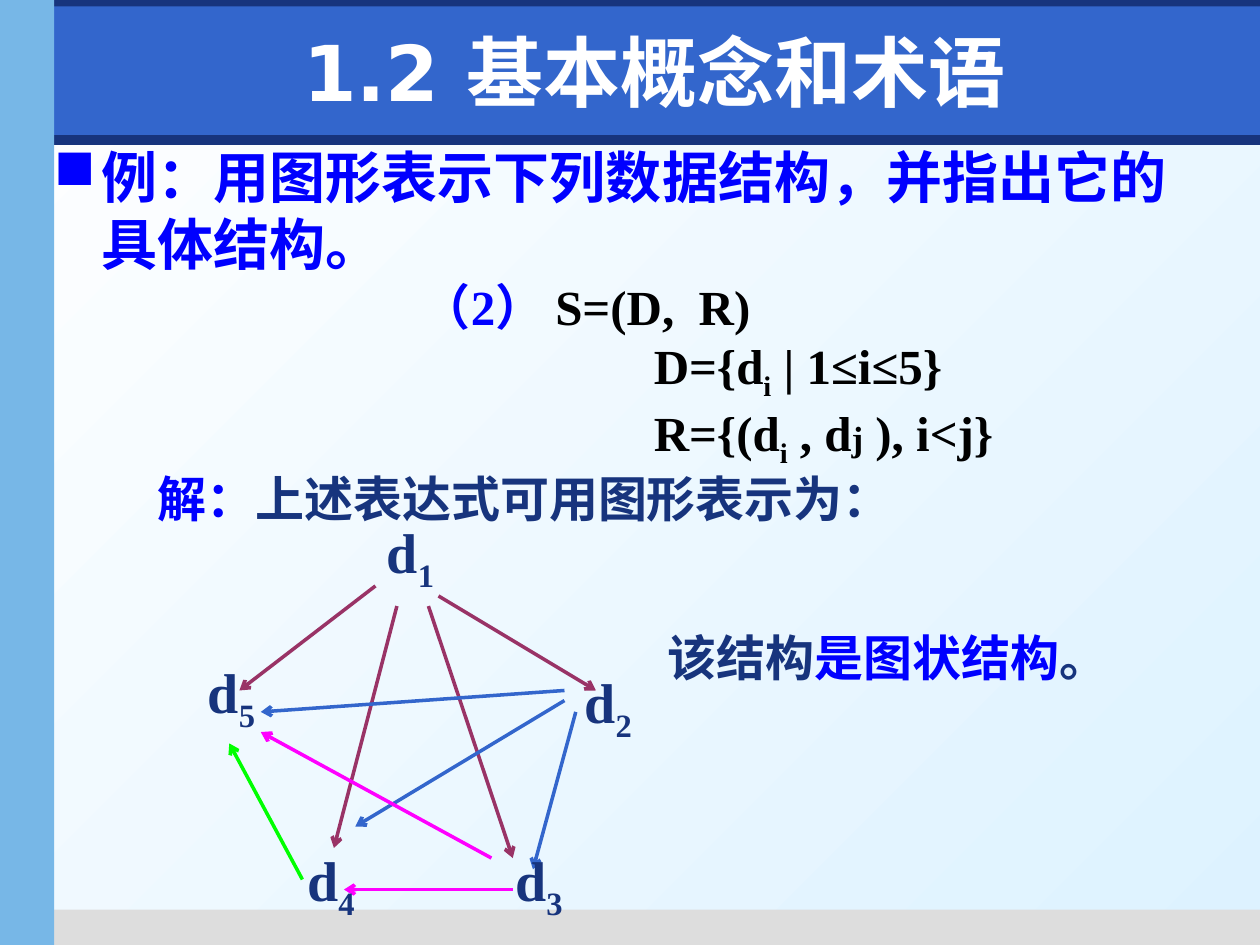
from lxml.etree import SubElement
from pptx import Presentation
from pptx.dml.color import RGBColor
from pptx.enum.shapes import MSO_CONNECTOR, MSO_SHAPE
from pptx.enum.text import MSO_ANCHOR, PP_ALIGN
from pptx.oxml.ns import qn
from pptx.util import Inches, Pt

HUE = {"navy": "17347D", "grey": "DDDDDD", "blue": "3366CC", "sky": "77B7E7",
       "pure": "0000FF", "white": "FFFFFF", "pale": "DDF2FF", "black": "000000",
       "plum": "993366", "pink": "FF00FF", "green": "00FF00"}
WIDE, HIGH = 10, 7.5
SANS, SERIF = "Arial", "Times New Roman"

BARS = [  # colour, left, top, width, height
    ("navy", 0.04, 1.07, WIDE - 0.04, 0.08),
    ("grey", 0.35, 7.22, WIDE - 0.35, HIGH - 7.22),
    ("navy", 0, -0.03, WIDE, 0.24),
    ("blue", 0.43, 0.05, WIDE - 0.43, 1.02),
    ("sky", 0, 0, 0.43, HIGH),
]

# A run is text, colour, then optional format values.
SUB = {"sub": True}
TITLE = [[("1.2 基本概念和术语", "white")]]
TASK = [[("例：用图形表示下列数据结构，并指出它的具体结构。", "pure")]]
SETS = [
    [("（2） ", "pure"), ("S=(D,  R)", "black")],
    [("D={d", "black"), ("i", "black", SUB), (" | 1≤i≤5}", "black")],
    [("R={(d", "black"), ("i", "black", SUB), (" , d", "black"),
     ("j", "black", {"size": Pt(20)}), (" ), i<j}", "black")],
]
KIND = [[("该结构", "navy"), ("是图状结构", "pure"), ("。", "navy")]]
SOLVE = [[("解：", "pure"), ("上述表达式可用图形表示为：", "navy")]]

NODES = {1: (2.97, 4.02), 2: (4.54, 5.21), 3: (3.99, 6.62),
         4: (2.34, 6.62), 5: (1.55, 5.13)}
EDGES = {  # colour: start and end of each arrow
    "plum": [(2.98, 4.65, 1.9, 5.48), (3.48, 4.73, 4.73, 5.48),
             (3.15, 4.81, 2.65, 6.73), (3.4, 4.81, 4.07, 6.81)],
    "blue": [(4.57, 5.65, 4.23, 6.9), (4.48, 5.56, 2.82, 6.56),
             (4.48, 5.48, 2.07, 5.65)],
    "pink": [(4.07, 7.06, 2.73, 7.06), (3.9, 6.81, 2.07, 5.81)],
    "green": [(2.4, 6.98, 1.82, 5.9)],
}


def tint(name):
    return RGBColor.from_string(HUE[name])


def apply(item, form):
    for key, val in form.items():
        setattr(item, key, val)


def write(at, rows, face, size, align=PP_ALIGN.LEFT, **form):
    """Add a text box; form holds text frame values."""
    frame = deck.shapes.add_textbox(*map(Inches, at)).text_frame
    apply(frame, {"word_wrap": True, **form})
    for num, row in enumerate(rows):
        para = frame.add_paragraph() if num else frame.paragraphs[0]
        para.alignment = align
        for text, hue, *more in row:
            run = para.add_run()
            run.text = text
            look = {"name": face, "size": Pt(size), "bold": True}
            for part in more:
                look.update(part)
            if look.pop("sub", False):
                run.font._element.set("baseline", "-25000")
            apply(run.font, look)
            run.font.color.rgb = tint(hue)
    return frame


def indent(para, left, first=0):
    props = para._p.get_or_add_pPr()
    props.set("marL", str(Inches(left)))
    props.set("indent", str(Inches(first)))
    return props


def arrow(hue, ends):
    line = deck.shapes.add_connector(MSO_CONNECTOR.STRAIGHT, *map(Inches, ends))
    line.line.color.rgb = tint(hue)
    line.line.width = Pt(2)
    SubElement(line.line._get_or_add_ln(), qn("a:tailEnd"), type="arrow")
    SubElement(line._element.spPr, qn("a:effectLst"))


show = Presentation()
apply(show, {"slide_width": Inches(WIDE), "slide_height": Inches(HIGH)})
deck = show.slides.add_slide(show.slide_layouts[6])

back = deck.background.fill
back.gradient()
back.gradient_angle = 315
for stop, hue, place in zip(back.gradient_stops, ("white", "pale"), (0, 1)):
    stop.color.rgb = tint(hue)
    stop.position = place

for hue, *at in BARS:
    bar = deck.shapes.add_shape(MSO_SHAPE.RECTANGLE, *map(Inches, at))
    bar.shadow.inherit = False
    bar.fill.solid()
    bar.fill.fore_color.rgb = tint(hue)
    bar.line.fill.background()

MID = MSO_ANCHOR.MIDDLE
write((0.59, 0.13, 9.21, 0.87), TITLE, "DejaVu Sans", 44, PP_ALIGN.CENTER,
      vertical_anchor=MID)

task = write((0.33, 1.08, 9.37, 5.9), TASK, SANS, 32)
props = indent(task.paragraphs[0], 0.38, -0.38)
SubElement(SubElement(props, qn("a:buClr")), qn("a:srgbClr"), val=HUE["pure"])
SubElement(props, qn("a:buChar"), char="■")

sets = write((3.25, 1.75, 5.28, 2.42), SETS, SERIF, 28, vertical_anchor=MID)
for para in sets.paragraphs[1:]:
    indent(para, 1.84)

write((5.2, 4.93, 3.69, 0.57), KIND, SANS, 28, word_wrap=False)
write((0.96, 3.67, 6.02, 0.57), SOLVE, SANS, 28, PP_ALIGN.CENTER, word_wrap=False)

for hue, lines in EDGES.items():
    for ends in lines:
        arrow(hue, ends)

for num, spot in NODES.items():
    label = [[("d", "navy"), (str(num), "navy", SUB)]]
    write((*spot, 0.71, 0.71), label, SERIF, 32, margin_top=Inches(0.09))

show.save("out.pptx")
